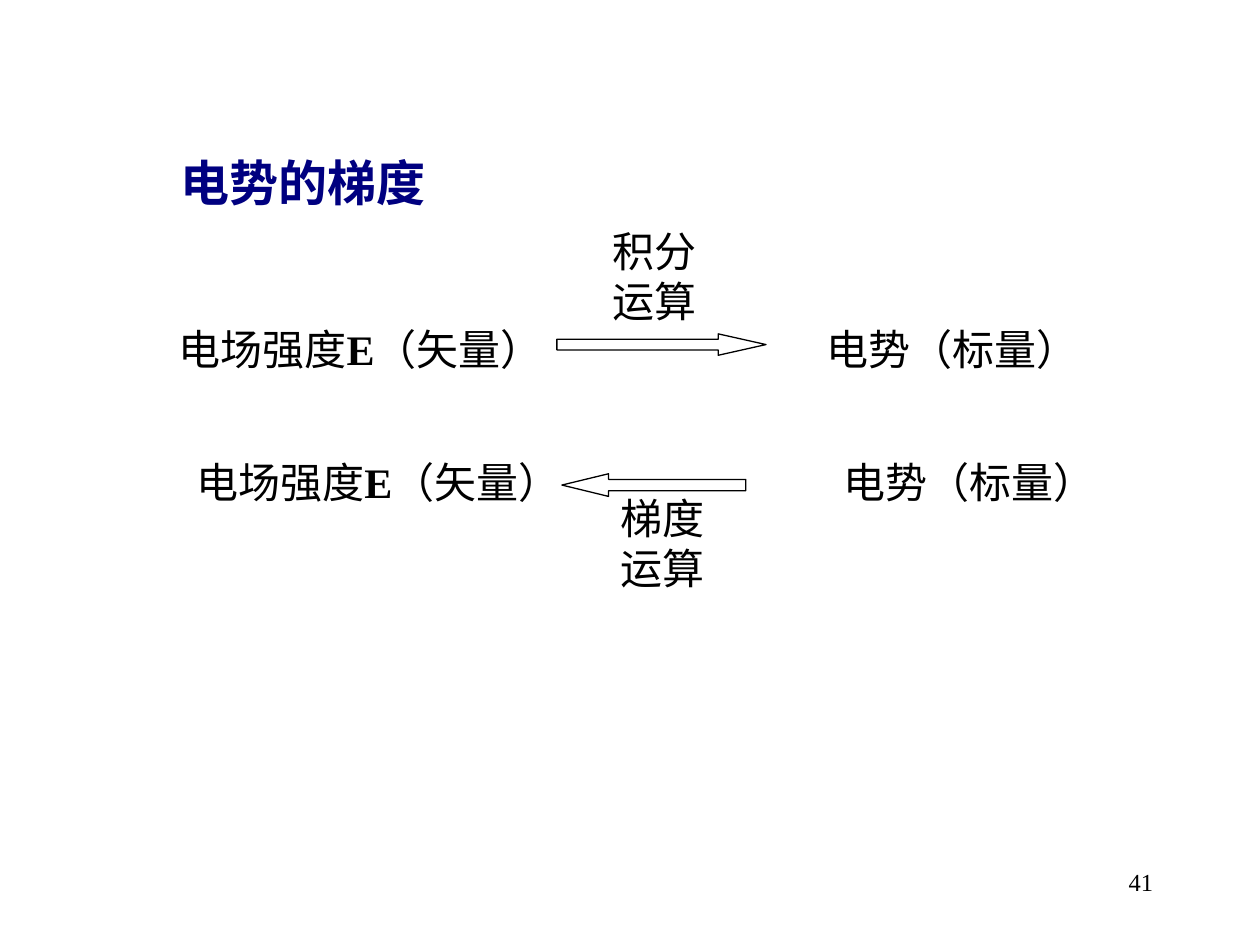
from lxml import etree
from pptx import Presentation
from pptx.dml.color import RGBColor
from pptx.enum import shapes, text
from pptx.oxml import ns
from pptx.util import Inches, Pt

THEME = {
    "latin": "Times New Roman", "cjk": "Noto Sans CJK SC",
    "black": "000000", "navy": "000080", "white": "FFFFFF",
    "title": 28, "body": 24, "small": 14, "line": 0.75,
}

# Content: places are left, top, width, height in inches
TITLE = ("电势的梯度", (1.32, 1.16, 2.17, 0.57))
PAGE_NUMBER = ("41", (7.17, 6.83, 2.08, 0.5))
RELATION = [("电场强度", False), ("E", True), ("（矢量）\t电势（标量）", False)]
RELATION_SIZE = (7.4, 0.91)
SCALAR_TAB = 5.14
STEPS = [
    {"row": (1.32, 2.52), "arrow": shapes.MSO_SHAPE.RIGHT_ARROW,
     "arrow_at": (4.42, 2.65, 1.66, 0.17), "head": 2.23,
     "label": ["积分", "运算"], "label_at": (4.76, 1.74, 1.38, 0.43)},
    {"row": (1.46, 3.57), "arrow": shapes.MSO_SHAPE.LEFT_ARROW,
     "arrow_at": (4.46, 3.76, 1.46, 0.18), "head": 2.06,
     "label": ["梯度运算"], "label_at": (4.83, 3.86, 1.11, 0.54)},
]


def color(name):
    return RGBColor.from_string(THEME[name])


def add_text(page, paragraphs, place, size="body", ink="black", font="latin",
             align=text.PP_ALIGN.LEFT, wrap=True, tab=None):
    """Add a text box; each paragraph is a list of (words, bold) spans."""
    box = page.shapes.add_textbox(*map(Inches, place))
    frame = box.text_frame
    frame.word_wrap = wrap
    for index, spans in enumerate(paragraphs):
        para = frame.add_paragraph() if index else frame.paragraphs[0]
        para.alignment = align
        if tab is not None:
            tabs = etree.SubElement(para._p.get_or_add_pPr(), ns.qn("a:tabLst"))
            etree.SubElement(tabs, ns.qn("a:tab"), pos=str(Inches(tab)), algn="l")
        for words, bold in spans:
            span = para.add_run()
            span.text = words
            span.font.size = Pt(THEME[size])
            span.font.bold = bold
            span.font.color.rgb = color(ink)
            span.font.name = THEME[font]
            etree.SubElement(span._r.get_or_add_rPr(), ns.qn("a:ea"),
                             typeface=THEME["cjk"])
    return box


def add_arrow(page, kind, place, head):
    arrow = page.shapes.add_shape(kind, *map(Inches, place))
    arrow.adjustments[0] = 0.5
    arrow.adjustments[1] = head
    arrow.shadow.inherit = False
    arrow.fill.solid()
    arrow.fill.fore_color.rgb = color("white")
    arrow.line.color.rgb = color("black")
    arrow.line.width = Pt(THEME["line"])


def main():
    deck = Presentation()
    deck.slide_width, deck.slide_height = Inches(10), Inches(7.5)
    page = deck.slides.add_slide(deck.slide_layouts[6])

    # Page number and title
    number, place = PAGE_NUMBER
    add_text(page, [[(number, False)]], place, size="small",
             align=text.PP_ALIGN.RIGHT)
    title, place = TITLE
    add_text(page, [[(title, True)]], place, size="title", ink="navy",
             align=text.PP_ALIGN.CENTER, wrap=False)

    # Field and potential, with the operation that links them
    for step in STEPS:
        add_text(page, [RELATION], step["row"] + RELATION_SIZE, tab=SCALAR_TAB)
        add_arrow(page, step["arrow"], step["arrow_at"], step["head"])
        add_text(page, [[(words, False)] for words in step["label"]],
                 step["label_at"], font="cjk")

    deck.save("out.pptx")


if __name__ == "__main__":
    main()
